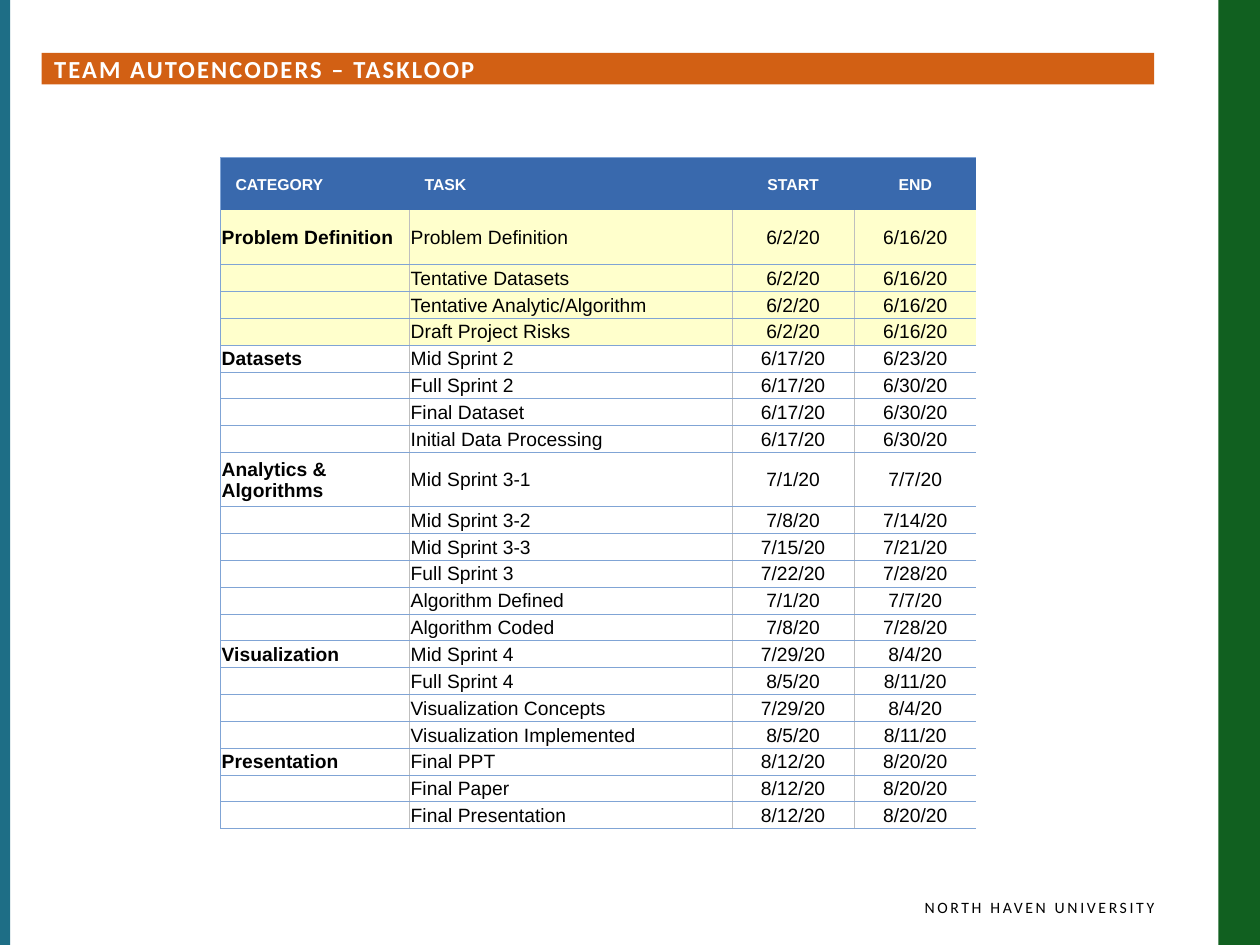
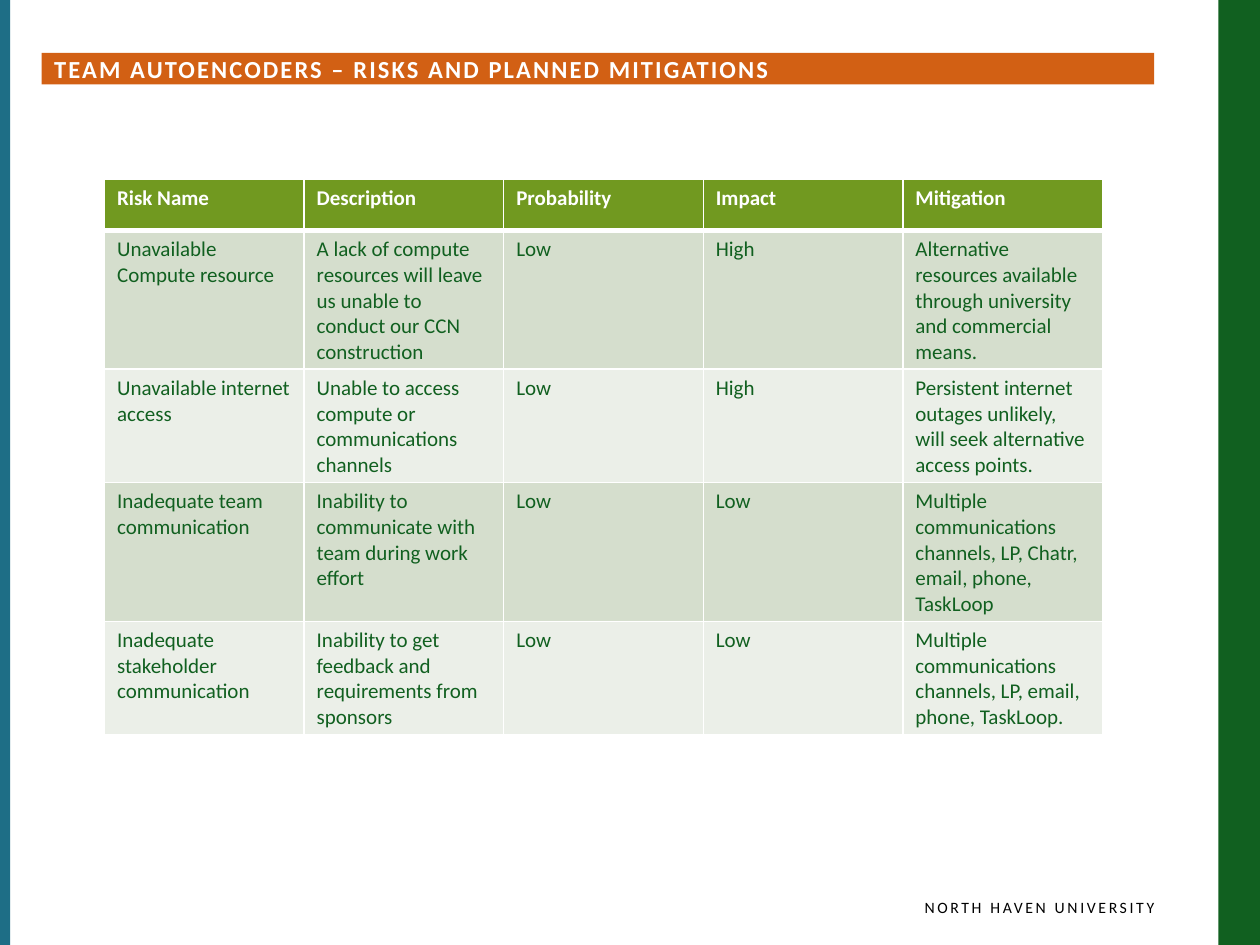
from lxml.etree import SubElement
from pptx import Presentation
from pptx.dml.color import RGBColor
from pptx.enum.shapes import MSO_SHAPE as Shape
from pptx.enum.text import MSO_ANCHOR as Anchor, MSO_AUTO_SIZE as AutoSize, PP_ALIGN as Align
from pptx.oxml.ns import qn
from pptx.util import Inches, Pt

GREEN, TEAL, ORANGE, WHITE, BLACK = "116020", "1E6E86", "D26014", "FFFFFF", "000000"
HEADER_BLUE, RULE_BLUE, RULE_GREY, DONE_YELLOW = "3969AD", "80A4D5", "BFBFBF", "FFFFCC"
HEADER_GREEN, BAND_DARK, BAND_LIGHT = "719920", "D5DECD", "EBEFE8"
NO_STYLE = "{2D5ABB26-0587-4C30-8999-92F81FD0307C}"


def style(para, size, color, name="Calibri", bold=False, align=Align.LEFT, spacing=0):
    """Format a paragraph; spacing is the letter spacing in points."""
    para.alignment = align
    font = para.font
    font.size, font.name, font.bold = Pt(size), name, bold
    font.color.rgb = RGBColor.from_string(color)
    if spacing:
        font._element.set("spc", str(round(spacing * 100)))
    if not para.runs:
        para._p.get_or_add_endParaRPr().set("sz", str(size * 100))


def paint(cell, fill, borders):
    """Draw borders, given as {side: (color, points)}, then fill the cell."""
    properties = cell._tc.get_or_add_tcPr()
    for side in "LRTB":
        if side in borders:
            color, points = borders[side]
            line = SubElement(properties, qn(f"a:ln{side}"), w=str(Pt(points)))
            solid = SubElement(line, qn("a:solidFill"))
            SubElement(solid, qn("a:srgbClr"), val=color)
    if fill:
        cell.fill.solid()
        cell.fill.fore_color.rgb = RGBColor.from_string(fill)
    else:
        cell.fill.background()


schedule = [
    ("CATEGORY", "TASK", "START", "END"),
    ("Problem Definition", "Problem Definition", "6/2/20", "6/16/20"),
    ("", "Tentative Datasets", "6/2/20", "6/16/20"),
    ("", "Tentative Analytic/Algorithm", "6/2/20", "6/16/20"),
    ("", "Draft Project Risks", "6/2/20", "6/16/20"),
    ("Datasets", "Mid Sprint 2", "6/17/20", "6/23/20"),
    ("", "Full Sprint 2", "6/17/20", "6/30/20"),
    ("", "Final Dataset", "6/17/20", "6/30/20"),
    ("", "Initial Data Processing", "6/17/20", "6/30/20"),
    ("Analytics & Algorithms", "Mid Sprint 3-1", "7/1/20", "7/7/20"),
    ("", "Mid Sprint 3-2", "7/8/20", "7/14/20"),
    ("", "Mid Sprint 3-3", "7/15/20", "7/21/20"),
    ("", "Full Sprint 3", "7/22/20", "7/28/20"),
    ("", "Algorithm Defined", "7/1/20", "7/7/20"),
    ("", "Algorithm Coded", "7/8/20", "7/28/20"),
    ("Visualization", "Mid Sprint 4", "7/29/20", "8/4/20"),
    ("", "Full Sprint 4", "8/5/20", "8/11/20"),
    ("", "Visualization Concepts", "7/29/20", "8/4/20"),
    ("", "Visualization Implemented", "8/5/20", "8/11/20"),
    ("Presentation", "Final PPT", "8/12/20", "8/20/20"),
    ("", "Final Paper", "8/12/20", "8/20/20"),
    ("", "Final Presentation", "8/12/20", "8/20/20"),
]
risks = [
    ("Risk Name", "Description", "Probability", "Impact", "Mitigation"),
    ("Unavailable Compute resource",
     "A lack of compute resources will leave us unable to conduct our CCN construction",
     "Low", "High",
     "Alternative resources available through university and commercial means."),
    ("Unavailable internet access",
     "Unable to access compute or communications channels", "Low", "High",
     "Persistent internet outages unlikely, will seek alternative access points."),
    ("Inadequate team communication",
     "Inability to communicate with team during work effort", "Low", "Low",
     "Multiple communications channels, LP, Chatr, email, phone, TaskLoop"),
    ("Inadequate stakeholder communication",
     "Inability to get feedback and requirements from sponsors", "Low", "Low",
     "Multiple communications channels, LP, email, phone, TaskLoop."),
]

deck = Presentation()
deck.slide_width, deck.slide_height = Inches(10), Inches(7.5)

# Bands, footer, title and an unstyled table for each slide
tables = []
for topic, rows, (left, top, width, height) in (
    ("TASKLOOP", schedule, (1.75, 1.25, 6, 5.33)),
    ("RISKS AND PLANNED MITIGATIONS", risks, (0.83, 1.42, 7.92, 2.05)),
):
    page = deck.slides.add_slide(deck.slide_layouts[5])
    for band_left, band_width, color in ((9.67, 0.33, GREEN), (0, 0.08, TEAL)):
        band = page.shapes.add_shape(
            Shape.RECTANGLE, Inches(band_left), 0, Inches(band_width), deck.slide_height)
        band.shadow.inherit = False
        band.fill.solid()
        band.fill.fore_color.rgb = RGBColor.from_string(color)
        band.line.fill.background()

    footer = page.shapes.add_textbox(Inches(5.08), Inches(7.08), Inches(4.08), Inches(0.33))
    footer.text_frame.word_wrap = True
    footer.text_frame.margin_right = 0
    footer.text_frame.text = "NORTH HAVEN UNIVERSITY"
    style(footer.text_frame.paragraphs[0], 9, BLACK, align=Align.RIGHT, spacing=1.5)

    title = page.shapes.title
    title.left, title.top = Inches(0.33), Inches(0.42)
    title.width, title.height = Inches(8.83), Inches(0.25)
    title.fill.solid()
    title.fill.fore_color.rgb = RGBColor.from_string(ORANGE)
    frame = title.text_frame
    frame.auto_size, frame.vertical_anchor = AutoSize.NONE, Anchor.MIDDLE
    frame.margin_top = frame.margin_bottom = 0
    frame.text = f"TEAM AUTOENCODERS – {topic}"
    style(frame.paragraphs[0], 14, WHITE, bold=True, spacing=1.2)

    table = page.shapes.add_table(
        len(rows), len(rows[0]), Inches(left), Inches(top), Inches(width), Inches(height)).table
    table.first_row = table.horz_banding = False
    table._tbl.tblPr.find(qn("a:tableStyleId")).text = NO_STYLE
    for r, texts in enumerate(rows):
        for c, text in enumerate(texts):
            table.cell(r, c).text = text
    tables.append(table)
schedule_table, risk_table = tables

# Schedule: the header and two rows are tall, the others share the rest
for column, width in zip(schedule_table.columns, (1.5, 2.56, 0.97, 0.97)):
    column.width = Inches(width)
tall_rows = {0: 0.42, 1: 0.43, 9: 0.43}
short_row = (5.33 - sum(tall_rows.values())) / (len(schedule) - len(tall_rows))
blue_rule, grey_rule = (RULE_BLUE, 0.5), (RULE_GREY, 0.5)
for r, row in enumerate(schedule_table.rows):
    row.height = Inches(tall_rows.get(r, short_row))
    header = r == 0
    for c, cell in enumerate(row.cells):
        cell.vertical_anchor = Anchor.MIDDLE
        cell.margin_left = Inches(0.12 if header and c < 2 else 0.01)
        cell.margin_right = cell.margin_top = Inches(0.01)
        cell.margin_bottom = 0
        style(cell.text_frame.paragraphs[0], 9 if header else 11, WHITE if header else BLACK,
              "Arial", bold=header or c == 0, align=Align.LEFT if c < 2 else Align.CENTER)
        borders = {} if header else {"L": grey_rule, "B": blue_rule}
        if c == 0:
            borders["L"] = blue_rule
        if c < 3 and not header:
            borders["R"] = grey_rule
        if r != 1:
            borders["T"] = blue_rule
        paint(cell, HEADER_BLUE if header else DONE_YELLOW if r < 5 else None, borders)

# Risks: banded rows that grow with their text
for r, row in enumerate(risk_table.rows):
    header = r == 0
    fill = HEADER_GREEN if header else BAND_DARK if r % 2 else BAND_LIGHT
    borders = dict.fromkeys("LRTB", (WHITE, 1))
    if header:
        borders["B"] = (WHITE, 3)
    elif r == 1:
        borders["T"] = (WHITE, 3)
    for cell in row.cells:
        style(cell.text_frame.paragraphs[0], 12, WHITE if header else GREEN, bold=header)
        paint(cell, fill, borders)

deck.save("out.pptx")
